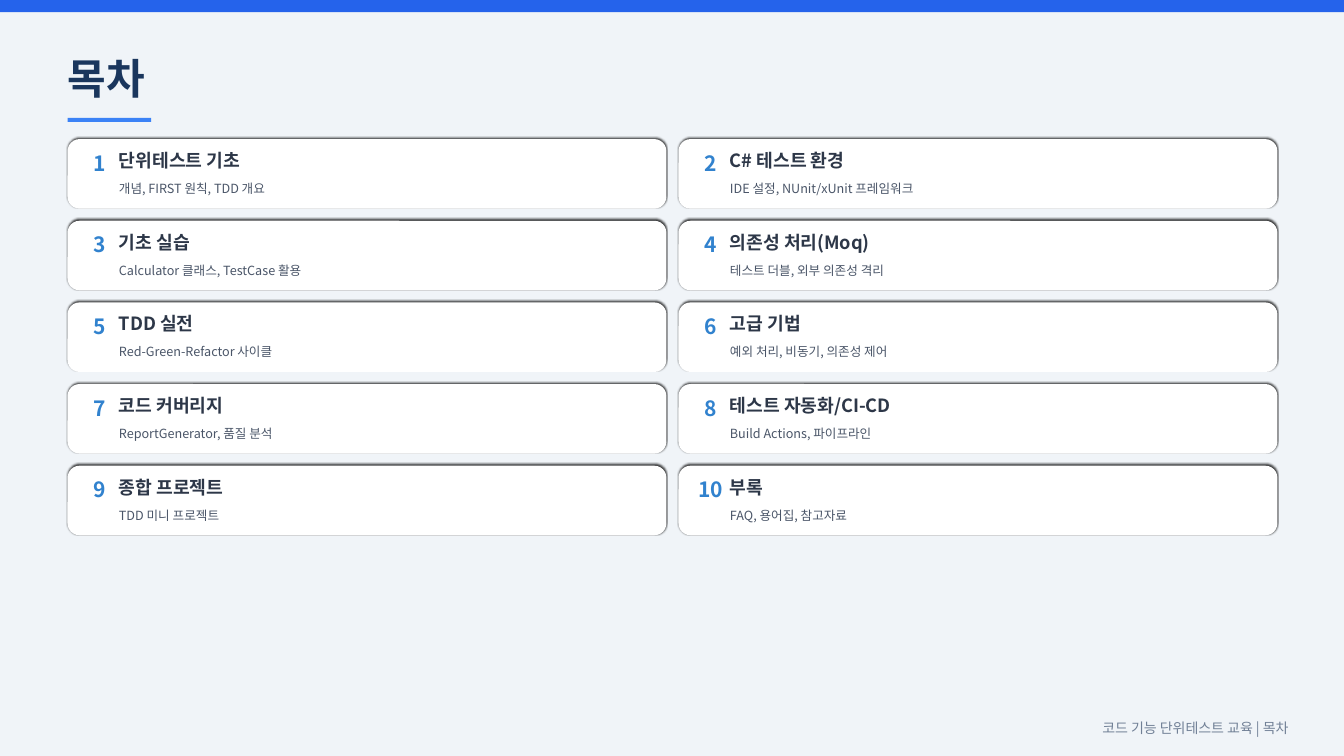
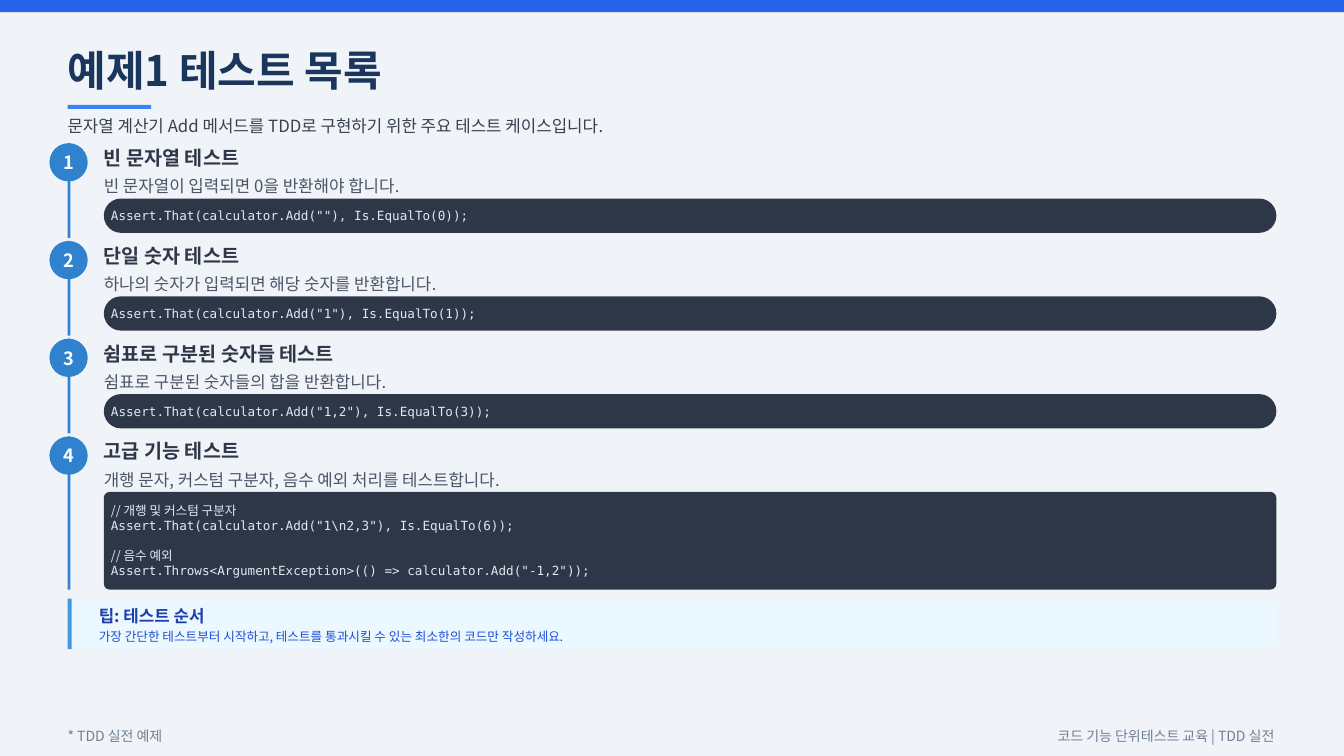
import pptx
import pptx.dml.color
import pptx.enum.shapes
import pptx.enum.text
import pptx.oxml
import pptx.oxml.ns
import pptx.util
from lxml import etree

Inches = pptx.util.Inches
Pt = pptx.util.Pt
SHAPE = pptx.enum.shapes.MSO_SHAPE
ALIGN = pptx.enum.text.PP_ALIGN
ANCHOR = pptx.enum.text.MSO_ANCHOR


def color(value):
    return pptx.dml.color.RGBColor.from_string(value)


class Lesson:
    SANS = "Noto Sans CJK KR"
    MONO = "DejaVu Sans Mono"
    PALE, BAND, NAVY, ACCENT = "F0F4F8", "2563EB", "1A365D", "3B82F6"
    BLUE, DARK, BODY, MUTED = "3182CE", "2D3748", "4A5568", "718096"
    WHITE, CODE = "FFFFFF", "E2E8F0"
    WIDTH, LEFT, CONTENT = 13.33, 0.67, 12

    def __init__(self):
        self.deck = pptx.Presentation()
        self.deck.slide_width = Inches(self.WIDTH)
        self.deck.slide_height = Inches(7.5)
        self.page = None

    def add_page(self, title, top, rule_top):
        self.page = self.deck.slides.add_slide(self.deck.slide_layouts[5])
        fill = self.page.background.fill
        fill.solid()
        fill.fore_color.rgb = color(self.PALE)
        self.shape(SHAPE.RECTANGLE, 0, 0, self.WIDTH, 0.12, self.BAND)
        box = self.page.shapes.title
        box.left, box.top = Inches(self.LEFT), Inches(top)
        box.width, box.height = Inches(self.CONTENT), Inches(0.6)
        self.fill_text(box, [title], 30, self.NAVY, bold=True)
        self.shape(SHAPE.RECTANGLE, self.LEFT, rule_top, 0.83, 0.04, self.ACCENT)

    def fill_text(self, box, lines, size, ink, bold=False, align=ALIGN.LEFT, font=SANS, inset=0):
        frame = box.text_frame
        frame.auto_size = pptx.enum.text.MSO_AUTO_SIZE.NONE
        frame.word_wrap = True
        frame.vertical_anchor = ANCHOR.MIDDLE
        frame.margin_left = Inches(inset)
        frame.margin_right = frame.margin_top = frame.margin_bottom = 0
        frame.text = "\n".join(lines)
        for para in frame.paragraphs:
            para.alignment = align
            self.style(para, size, ink, bold, font)

    def style(self, para, size, ink, bold, font):
        para.font.size = Pt(size)
        para.font.bold = bold
        para.font.color.rgb = color(ink)
        para.font.name = font
        latin = para._p.find(".//" + pptx.oxml.ns.qn("a:latin"))
        east = etree.Element(pptx.oxml.ns.qn("a:ea"), typeface=self.SANS)
        latin.addnext(east)

    def text(self, words, left, top, width, height, size, ink, **options):
        box = self.page.shapes.add_textbox(Inches(left), Inches(top), Inches(width), Inches(height))
        self.fill_text(box, [words], size, ink, **options)

    def shape(self, kind, left, top, width, height, fill, radius=None):
        item = self.page.shapes.add_shape(
            kind, Inches(left), Inches(top), Inches(width), Inches(height))
        item.shadow.inherit = False
        item.fill.solid()
        item.fill.fore_color.rgb = color(fill)
        item.line.fill.background()
        if radius is not None:
            item.adjustments[0] = radius / height
        return item

    def edge_shadow(self, item):
        effects = item._element.spPr.find(pptx.oxml.ns.qn("a:effectLst"))
        effects.append(pptx.oxml.parse_xml(
            f'<a:outerShdw {pptx.oxml.ns.nsdecls("a")} blurRad="12700" dist="12700" '
            'dir="16200000" algn="ctr" rotWithShape="0"><a:srgbClr val="000000">'
            '<a:alpha val="75000"/></a:srgbClr></a:outerShdw>'))

    def topic(self, number, heading, detail, left, top):
        card = self.shape(SHAPE.ROUNDED_RECTANGLE, left, top, 5.94, 0.69, self.WHITE, 0.12)
        self.edge_shadow(card)
        self.text(str(number), left + 0.11, top + 0.08, 0.42, 0.31, 15, self.BLUE,
                  bold=True, align=ALIGN.CENTER)
        self.text(heading, left + 0.51, top + 0.08, 5.2, 0.26, 13, self.DARK, bold=True)
        self.text(detail, left + 0.51, top + 0.39, 5.2, 0.2, 9, self.BODY)

    def step(self, number, heading, detail, code, top):
        single = len(code) == 1
        code_height, radius = (0.34, 0.17) if single else (0.97, 0.06)
        track = 0.94 if single else 1.52
        self.shape(SHAPE.RECTANGLE, self.LEFT, top, 0.03, track, self.BLUE)
        badge = self.shape(SHAPE.OVAL, 0.49, top, 0.38, 0.38, self.BLUE)
        self.fill_text(badge, [str(number)], 13, self.WHITE, bold=True, align=ALIGN.CENTER)
        self.text(heading, 1.03, top, 11.63, 0.29, 14, self.DARK, bold=True)
        self.text(detail, 1.03, top + 0.3, 11.63, 0.25, 12, self.BODY)
        self.code(code, top + 0.55, code_height, radius)

    def code(self, lines, top, height, radius):
        panel = self.shape(SHAPE.ROUNDED_RECTANGLE, 1.03, top, 11.63, height, self.DARK, radius)
        self.fill_text(panel, lines, 9, self.CODE, font=self.MONO, inset=0.07 - 0.29 * radius)
        for index, para in enumerate(panel.text_frame.paragraphs):
            para.line_spacing = Pt(10.8)
            if para.text.startswith("//"):
                para.font.name = self.SANS
                if index:
                    para.space_before = Pt(10.8)

    def tip(self, heading, detail, top):
        self.shape(SHAPE.ROUNDED_RECTANGLE, self.LEFT, top, self.CONTENT, 0.5, "EBF8FF", 0.12)
        self.shape(SHAPE.RECTANGLE, self.LEFT, top, 0.04, 0.5, "4299E1")
        self.text(heading, 0.98, top + 0.04, 11.5, 0.25, 12, "1E40AF", bold=True)
        self.text(detail, 0.98, top + 0.28, 11.5, 0.18, 9, "1D4ED8")

    def footer(self, words, top, right=None):
        left = self.LEFT if right is None else right - 4
        align = ALIGN.LEFT if right is None else ALIGN.RIGHT
        self.text(words, left, top, 4, 0.21, 10, self.MUTED, align=align)


TOPICS = [
    ("단위테스트 기초", "개념, FIRST 원칙, TDD 개요"),
    ("C# 테스트 환경", "IDE 설정, NUnit/xUnit 프레임워크"),
    ("기초 실습", "Calculator 클래스, TestCase 활용"),
    ("의존성 처리(Moq)", "테스트 더블, 외부 의존성 격리"),
    ("TDD 실전", "Red-Green-Refactor 사이클"),
    ("고급 기법", "예외 처리, 비동기, 의존성 제어"),
    ("코드 커버리지", "ReportGenerator, 품질 분석"),
    ("테스트 자동화/CI-CD", "Build Actions, 파이프라인"),
    ("종합 프로젝트", "TDD 미니 프로젝트"),
    ("부록", "FAQ, 용어집, 참고자료"),
]

STEPS = [
    ("빈 문자열 테스트", "빈 문자열이 입력되면 0을 반환해야 합니다.",
     ['Assert.That(calculator.Add(""), Is.EqualTo(0));']),
    ("단일 숫자 테스트", "하나의 숫자가 입력되면 해당 숫자를 반환합니다.",
     ['Assert.That(calculator.Add("1"), Is.EqualTo(1));']),
    ("쉼표로 구분된 숫자들 테스트", "쉼표로 구분된 숫자들의 합을 반환합니다.",
     ['Assert.That(calculator.Add("1,2"), Is.EqualTo(3));']),
    ("고급 기능 테스트", "개행 문자, 커스텀 구분자, 음수 예외 처리를 테스트합니다.",
     ["// 개행 및 커스텀 구분자",
      r'Assert.That(calculator.Add("1\n2,3"), Is.EqualTo(6));',
      "// 음수 예외",
      'Assert.Throws<ArgumentException>(() => calculator.Add("-1,2"));']),
]


def contents_page(lesson):
    lesson.add_page("목차", 0.47, 1.17)
    for index, (heading, detail) in enumerate(TOPICS):
        row, column = divmod(index, 2)
        lesson.topic(index + 1, heading, detail, lesson.LEFT + 6.06 * column, 1.38 + 0.81 * row)
    lesson.footer("코드 기능 단위테스트 교육 | 목차", 7.12, right=12.78)


def test_list_page(lesson):
    lesson.add_page("예제1 테스트 목록", 0.39, 1.04)
    lesson.text("문자열 계산기 Add 메서드를 TDD로 구현하기 위한 주요 테스트 케이스입니다.",
                lesson.LEFT, 1.12, lesson.CONTENT, 0.25, 12, "374151")
    for index, (heading, detail, code) in enumerate(STEPS):
        lesson.step(index + 1, heading, detail, code, 1.42 + 0.97 * index)
    lesson.tip("팁: 테스트 순서",
               "가장 간단한 테스트부터 시작하고, 테스트를 통과시킬 수 있는 최소한의 코드만 작성하세요.", 5.94)
    lesson.footer("* TDD 실전 예제", 7.2)
    lesson.footer("코드 기능 단위테스트 교육 | TDD 실전", 7.2, right=12.64)


def main():
    lesson = Lesson()
    contents_page(lesson)
    test_list_page(lesson)
    lesson.deck.save("out.pptx")


if __name__ == "__main__":
    main()
